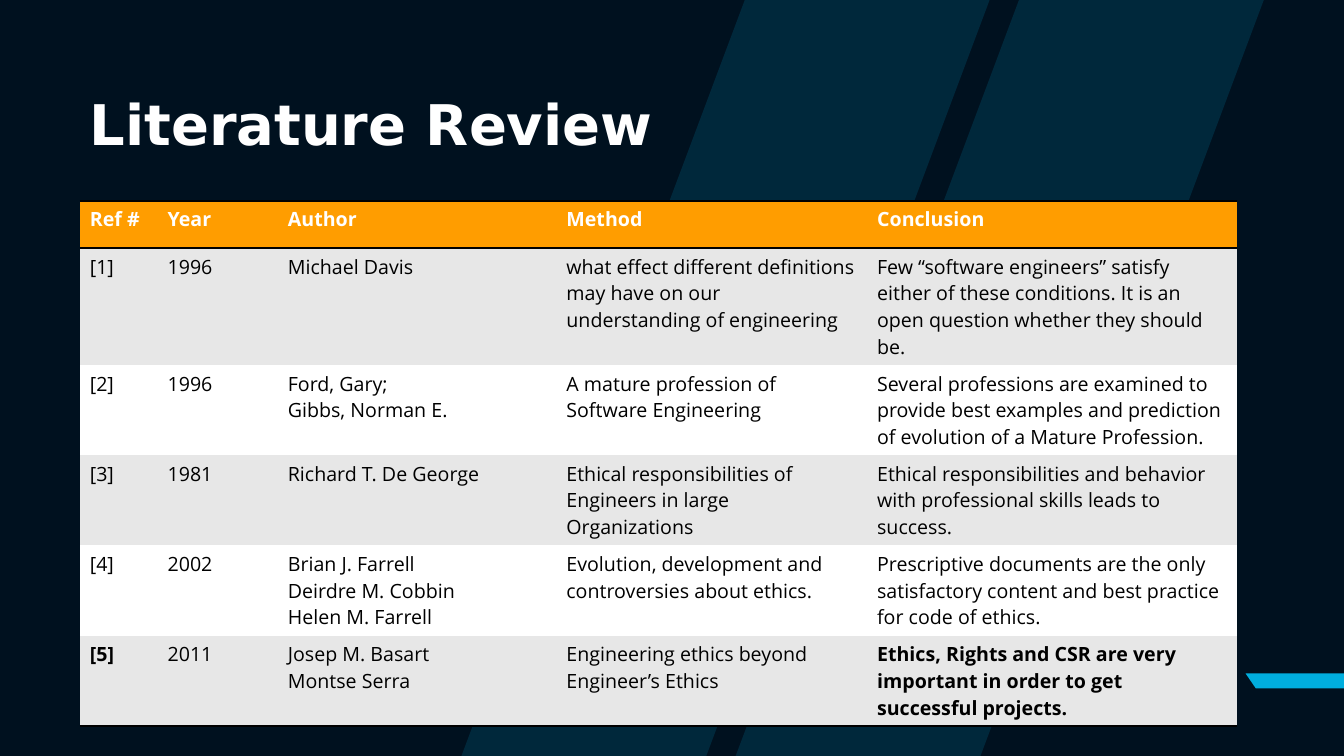
from lxml.etree import SubElement
from pptx import Presentation
from pptx.dml.color import RGBColor
from pptx.enum.text import MSO_ANCHOR
from pptx.oxml import parse_xml
from pptx.oxml.ns import nsdecls, qn
from pptx.util import Cm, Pt

COLOURS = {
    "background": "00111F",
    "accent": "00AEDE",
    "header": "FF9D00",
    "odd": "E7E7E7",
    "even": "FFFFFF",
    "light": "FFFFFF",
    "dark": "000000",
}
PLAIN_TABLE_STYLE = "{2D5ABB26-0587-4C30-8999-92F81FD0307C}"
COLUMN_WIDTHS = [1.96, 3.03, 7.02, 7.83, 9.33]
HEADER_HEIGHT, ROW_HEIGHT = 1.19, 1.8
PAGE_WIDTH, PAGE_HEIGHT = 33.87, 19.05
BAND_WIDTH, BAND_SLANT = 6.17, 7.14
ROWS = [
    ["Ref #", "Year", "Author", "Method", "Conclusion"],
    ["[1]", "1996", "Michael Davis",
     "what effect different definitions may have on our understanding of engineering",
     "Few “software engineers” satisfy either of these conditions. "
     "It is an open question whether they should be."],
    ["[2]", "1996", "Ford, Gary;\nGibbs, Norman E.",
     "A mature profession of Software Engineering",
     "Several professions are examined to provide best examples and prediction "
     "of evolution of a Mature Profession."],
    ["[3]", "1981", "Richard T. De George",
     "Ethical responsibilities of Engineers in large Organizations",
     "Ethical responsibilities and behavior with professional skills leads to success."],
    ["[4]", "2002", "Brian J. Farrell\nDeirdre M. Cobbin\nHelen M. Farrell",
     "Evolution, development and controversies about ethics.",
     "Prescriptive documents are the only satisfactory content and best practice "
     "for code of ethics."],
    ["[5]", "2011", "Josep M. Basart\nMontse Serra",
     "Engineering ethics beyond Engineer’s Ethics",
     "Ethics, Rights and CSR are very important in order to get successful projects."],
]
BOLD_CELLS = {(5, 0), (5, 4)}


def colour(name):
    return RGBColor.from_string(COLOURS[name])


def format_text(frame, font_name, size, colour_name, bold):
    for para in frame.paragraphs:
        for span in para.runs:
            span.font.name = font_name
            span.font.size = Pt(size)
            span.font.bold = bold
            span.font.color.rgb = colour(colour_name)


def add_outline(page, contours, opacity=100):
    contours = [[(Cm(x), Cm(y)) for x, y in points] for points in contours]
    builder = page.shapes.build_freeform(*contours[0][0], scale=1.0)
    builder.add_line_segments(contours[0][1:], close=True)
    for points in contours[1:]:
        builder.move_to(*points[0])
        builder.add_line_segments(points[1:], close=True)
    shape = builder.convert_to_shape()
    shape.shadow.inherit = False
    shape.line.fill.background()
    shape.fill.solid()
    shape.fill.fore_color.rgb = colour("accent")
    if opacity < 100:
        tint = shape.fill._xPr.find(".//" + qn("a:srgbClr"))
        SubElement(tint, qn("a:alpha"), val=str(opacity * 1000))


def slanted_band(left):
    return [
        (left + BAND_SLANT, 0),
        (left, PAGE_HEIGHT),
        (left + BAND_WIDTH, PAGE_HEIGHT),
        (left + BAND_WIDTH + BAND_SLANT, 0),
    ]


def add_border(cell, side):
    cell._tc.get_or_add_tcPr().insert(0, parse_xml(
        f'<a:{side} {nsdecls("a")} w="{Pt(2)}"><a:solidFill>'
        f'<a:srgbClr val="{COLOURS["dark"]}"/></a:solidFill></a:{side}>'))


def fill_cell(cell, text, row, column):
    is_header = row == 0
    cell.text_frame.text = text
    format_text(cell.text_frame, "Open Sans", 14, "light" if is_header else "dark",
                is_header or (row, column) in BOLD_CELLS)
    cell.fill.solid()
    cell.fill.fore_color.rgb = colour(
        "header" if is_header else "odd" if row % 2 else "even")
    if row in (0, len(ROWS) - 1):
        add_border(cell, "lnB")
    if is_header:
        add_border(cell, "lnT")


def add_review_table(page):
    height = HEADER_HEIGHT + ROW_HEIGHT * (len(ROWS) - 1)
    frame = page.shapes.add_table(len(ROWS), len(COLUMN_WIDTHS), Cm(2.01), Cm(5.06),
                                  Cm(sum(COLUMN_WIDTHS)), Cm(height))
    table = frame.table
    table.horz_banding = False
    table._tbl.tblPr.find(qn("a:tableStyleId")).text = PLAIN_TABLE_STYLE
    for column, width in zip(table.columns, COLUMN_WIDTHS):
        column.width = Cm(width)
    for row, texts in enumerate(ROWS):
        table.rows[row].height = Cm(ROW_HEIGHT if row else HEADER_HEIGHT)
        for column, text in enumerate(texts):
            fill_cell(table.cell(row, column), text, row, column)


def add_title(page, text):
    box = page.shapes.add_textbox(Cm(2.01), Cm(2.16), Cm(15.37), Cm(2.08))
    frame = box.text_frame
    frame.word_wrap = True
    frame.vertical_anchor = MSO_ANCHOR.MIDDLE
    frame.text = text
    frame.paragraphs[0].line_spacing = 0.9
    format_text(frame, "DejaVu Sans", 40, "light", True)


def main():
    deck = Presentation()
    deck.slide_width, deck.slide_height = Cm(PAGE_WIDTH), Cm(PAGE_HEIGHT)
    page = deck.slides.add_slide(deck.slide_layouts[6])
    page.background.fill.solid()
    page.background.fill.fore_color.rgb = colour("background")
    add_outline(page, [slanted_band(18.54), slanted_band(11.63)], opacity=15)
    add_outline(page, [[(PAGE_WIDTH, 16.97), (PAGE_WIDTH, 17.35),
                        (31.65, 17.35), (31.39, 16.97)]])
    add_review_table(page)
    add_title(page, "Literature Review")
    deck.save("out.pptx")


if __name__ == "__main__":
    main()
